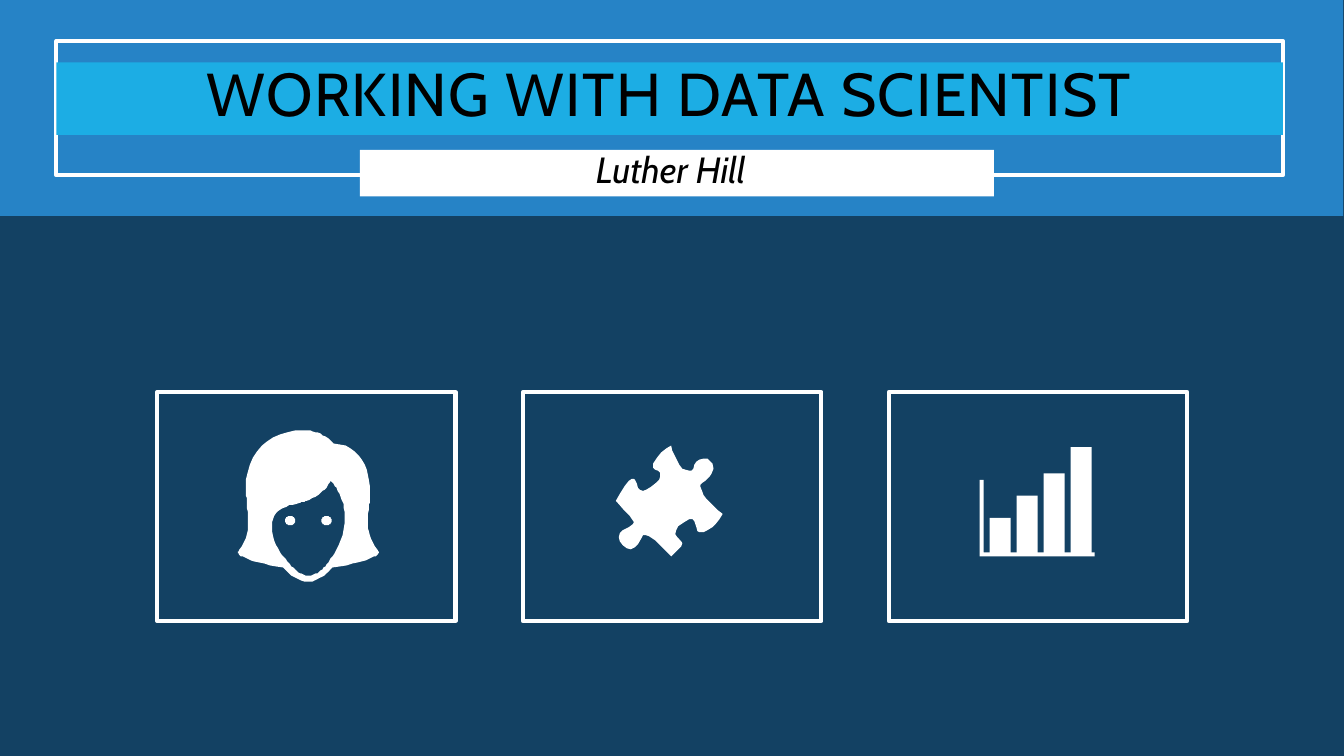
from dataclasses import dataclass

from pptx import Presentation
from pptx.dml.color import RGBColor
from pptx.enum import shapes, text
from pptx.util import Cm, Pt


@dataclass(frozen=True)
class Theme:
    navy: RGBColor = RGBColor(0x13, 0x41, 0x63)
    blue: RGBColor = RGBColor(0x26, 0x83, 0xC6)
    cyan: RGBColor = RGBColor(0x1C, 0xAD, 0xE4)
    white: RGBColor = RGBColor(0xFF, 0xFF, 0xFF)
    black: RGBColor = RGBColor(0, 0, 0)
    font: str = "Cabin"
    title_size: Pt = Pt(43.2)
    author_size: Pt = Pt(26)
    outline: Pt = Pt(3)


theme = Theme()


def add_box(parent, left, top, width, height, fill=None):
    """Add a rectangle, in cm: filled without a line, or a white outline."""
    box = parent.add_shape(shapes.MSO_SHAPE.RECTANGLE, Cm(left), Cm(top), Cm(width), Cm(height))
    box.shadow.inherit = False
    if fill is None:
        box.fill.background()
        box.line.color.rgb = theme.white
        box.line.width = theme.outline
    else:
        box.fill.solid()
        box.fill.fore_color.rgb = fill
        box.line.fill.background()


def add_outline(parent, contours):
    """Add a white freeform from closed contours, in hundredths of an inch."""
    builder = parent.build_freeform(*contours[0][0], scale=Cm(2.54) / 100)
    for number, (start, *others) in enumerate(contours):
        if number:
            builder.move_to(*start)
        builder.add_line_segments(others, close=True)
    icon = builder.convert_to_shape()
    icon.shadow.inherit = False
    icon.fill.solid()
    icon.fill.fore_color.rgb = theme.white
    icon.line.fill.background()


prs = Presentation()
prs.slide_width, prs.slide_height = Cm(33.87), Cm(19.05)
slide = prs.slides.add_slide(prs.slide_layouts[5])
slide.background.fill.solid()
slide.background.fill.fore_color.rgb = theme.navy

# Cards and header band
for column in range(3):
    add_box(slide.shapes, 3.96 + 9.22 * column, 9.88, 7.52, 5.77)
add_box(slide.shapes, -0.02, 0, 33.87, 5.44, theme.blue)
add_box(slide.shapes, 9.07, 3.78, 15.98, 1.17, theme.white)
add_box(slide.shapes, 1.42, 1.04, 30.91, 3.38)

# Title, brought in front of the header band
title = slide.shapes.title
title._element.getparent().append(title._element)
title.left, title.top, title.width, title.height = Cm(1.42), Cm(1.57), Cm(30.91), Cm(1.83)
title.fill.solid()
title.fill.fore_color.rgb = theme.cyan
title.text_frame.text = "WORKING WITH DATA SCIENTIST"

author = slide.shapes.add_textbox(Cm(9.12), Cm(3.71), Cm(15.57), Cm(1.32))
author.text_frame.text = "Luther Hill"
author.text_frame.margin_left = author.text_frame.margin_right = Cm(0.13)
author.text_frame.margin_top = author.text_frame.margin_bottom = Cm(0.13)

for heading, size, spacing, anchor in (
    (title, theme.title_size, 0.8, text.MSO_ANCHOR.MIDDLE),
    (author, theme.author_size, 0.9, text.MSO_ANCHOR.TOP),
):
    frame = heading.text_frame
    frame.word_wrap = True
    frame.auto_size = text.MSO_AUTO_SIZE.NONE
    frame.vertical_anchor = anchor
    paragraph = frame.paragraphs[0]
    paragraph.alignment = text.PP_ALIGN.CENTER
    paragraph.line_spacing = spacing
    font = paragraph.runs[0].font
    font.name, font.size, font.color.rgb = theme.font, size, theme.black

title.text_frame.paragraphs[0].runs[0].font._element.set("spc", "100")
author.text_frame.paragraphs[0].space_before = Pt(12)
author.text_frame.paragraphs[0].space_after = Pt(2)
author.text_frame.paragraphs[0].runs[0].font.italic = True

# Woman: each contour is a start point and cubic curves (two controls, end)
hair = ((302, 427), [
    (266, 427, 244, 449, 244, 485), (244, 490, 245, 495, 245, 500),
    (247, 515, 249, 530, 237, 546), (236, 547, 236, 549, 238, 551),
    (238, 551, 252, 559, 281, 563), (289, 572, 297, 577, 306, 577),
    (314, 577, 323, 572, 330, 563), (360, 559, 374, 551, 374, 551),
    (376, 549, 376, 547, 375, 546), (363, 530, 364, 517, 366, 503),
    (367, 498, 367, 493, 367, 487), (367, 466, 358, 441, 331, 440),
    (320, 429, 309, 427, 302, 427),
])
face = ((328, 477), [
    (333, 482, 342, 494, 342, 513), (342, 538, 326, 558, 326, 558),
    (320, 566, 313, 571, 306, 571), (300, 571, 292, 566, 286, 558),
    (286, 558, 270, 543, 270, 522), (270, 505, 284, 502, 297, 499),
    (299, 498, 302, 498, 304, 497), (318, 492, 325, 483, 328, 477),
])
eyes = [
    ((x, 512), [
        (x - 3, 512, x - 5, 514, x - 5, 517), (x - 5, 519, x - 3, 521, x, 521),
        (x + 3, 521, x + 5, 519, x + 5, 517), (x + 5, 514, x + 3, 512, x, 512),
    ])
    for x in (288, 324)
]
steps = 12
woman = []
for start, curves in (hair, face, *eyes):
    contour = [start]
    for x1, y1, x2, y2, x3, y3 in curves:
        x0, y0 = contour[-1]
        for step in range(1, steps + 1):
            t = step / steps
            a, b, c, d = (1 - t) ** 3, 3 * t * (1 - t) ** 2, 3 * t * t * (1 - t), t ** 3
            contour.append((a * x0 + b * x1 + c * x2 + d * x3,
                            a * y0 + b * y1 + c * y2 + d * y3))
    woman.append(contour)
add_outline(slide.shapes, woman)

# Bar icon: axes and rising bars on a common base
bar_icon = slide.shapes.add_group_shape().shapes
add_outline(bar_icon, [[(972, 476), (976, 476), (976, 548), (1086, 548), (1086, 552), (972, 552)]])
for column, height in enumerate((0.89, 1.45, 2.01, 2.67)):
    add_box(bar_icon, 24.94 + 0.68 * column, 13.94 - height, 0.53, height, theme.white)

puzzle_piece = [
    (710, 520), (714, 515), (717, 510), (716, 509), (712, 506), (706, 500), (701, 495),
    (698, 491), (697, 488), (695, 483), (695, 481), (697, 479), (700, 477), (704, 473),
    (706, 470), (708, 465), (707, 460), (705, 458), (702, 455), (698, 455), (694, 456),
    (691, 458), (689, 461), (688, 465), (686, 467), (684, 467), (680, 466), (677, 465),
    (674, 461), (671, 455), (667, 447), (666, 442), (661, 445), (656, 449), (652, 454),
    (648, 460), (648, 464), (650, 466), (653, 467), (655, 469), (655, 473), (654, 476),
    (651, 479), (646, 483), (641, 486), (638, 487), (635, 486), (633, 484), (632, 480),
    (630, 476), (629, 475), (627, 475), (624, 477), (620, 482), (615, 490), (611, 497),
    (613, 499), (619, 506), (625, 512), (629, 518), (628, 520), (624, 523), (618, 526),
    (615, 529), (614, 533), (615, 537), (618, 541), (622, 544), (626, 545), (630, 543),
    (633, 540), (637, 533), (638, 531), (641, 531), (644, 532), (650, 536), (656, 542),
    (666, 552), (671, 547), (676, 542), (677, 539), (676, 537), (672, 533), (670, 530),
    (671, 526), (673, 522), (679, 518), (684, 515), (687, 515), (689, 517), (691, 523),
    (692, 527), (694, 528), (698, 528), (702, 526), (707, 523),
]
add_outline(slide.shapes, [puzzle_piece])

prs.save("out.pptx")
